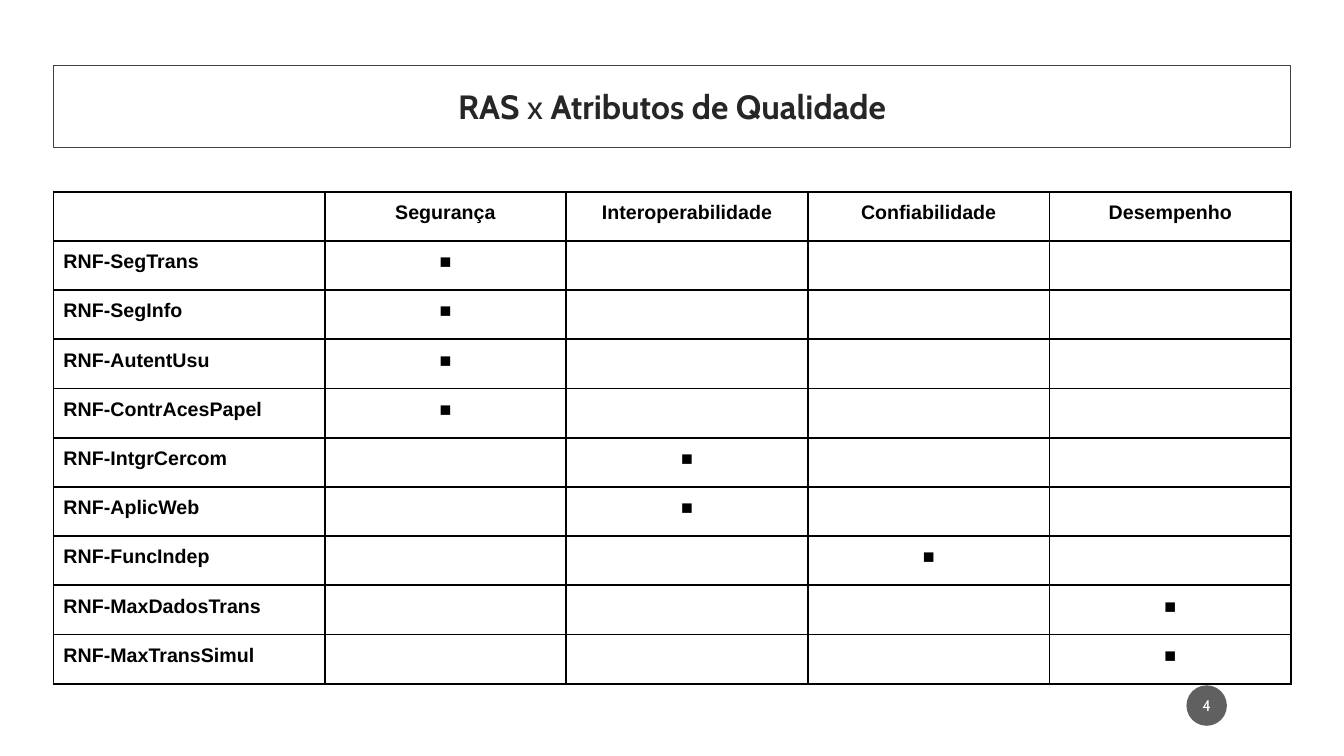
from lxml import etree
from pptx import Presentation
from pptx.dml.color import RGBColor
from pptx.enum import shapes, text
from pptx.oxml import ns
from pptx.util import Cm, Pt

ATTRIBUTES = ["Segurança", "Interoperabilidade", "Confiabilidade", "Desempenho"]
REQUIREMENTS = [
    ("RNF-SegTrans", "Segurança"),
    ("RNF-SegInfo", "Segurança"),
    ("RNF-AutentUsu", "Segurança"),
    ("RNF-ContrAcesPapel", "Segurança"),
    ("RNF-IntgrCercom", "Interoperabilidade"),
    ("RNF-AplicWeb", "Interoperabilidade"),
    ("RNF-FuncIndep", "Confiabilidade"),
    ("RNF-MaxDadosTrans", "Desempenho"),
    ("RNF-MaxTransSimul", "Desempenho"),
]
LEFT = 1.35
LABEL_WIDTH, ATTRIBUTE_WIDTH, ROW_HEIGHT = 6.83, 6.09, 1.24
CENTER = text.PP_ALIGN.CENTER


def paint(color_format, value):
    color_format.rgb = RGBColor.from_string(value)


def fill_solid(item, value):
    item.fill.solid()
    paint(item.fill.fore_color, value)


def set_margins(item, horizontal, vertical):
    item.margin_left = item.margin_right = Cm(horizontal)
    item.margin_top = item.margin_bottom = Cm(vertical)


def style_font(font, name, size, color):
    font.name = name
    font.size = Pt(size)
    paint(font.color, color)


def add_panel(slide, kind, box, fill, margins, runs, size, color):
    panel = slide.shapes.add_shape(kind, *map(Cm, box))
    panel.shadow.inherit = False
    fill_solid(panel, fill)
    panel.line.fill.background()
    frame = panel.text_frame
    frame.word_wrap = True
    frame.vertical_anchor = text.MSO_ANCHOR.MIDDLE
    set_margins(frame, *margins)
    paragraph = frame.paragraphs[0]
    paragraph.alignment = CENTER
    style_font(paragraph.font, "Cabin", size, color)
    for words, bold in runs:
        run = paragraph.add_run()
        run.text = words
        run.font.bold = bold
    return panel


def add_title(slide):
    runs = [("RAS ", True), ("x ", False), ("Atributos de Qualidade", True)]
    title = add_panel(slide, shapes.MSO_SHAPE.RECTANGLE, (LEFT, 1.65, 31.17, 2.06),
                      "FFFFFF", (0.5, 0.5), runs, 24, "262626")
    paint(title.line.color, "404040")
    title.line.width = Pt(0.75)


def add_page_number(slide):
    badge = add_panel(slide, shapes.MSO_SHAPE.OVAL, (29.9, 17.27, 1.02, 1.02),
                      "1D1D1D", (0.05, 0.13), [("4", False)], 11, "FFFFFF")
    tone = badge.fill._xPr.find(".//" + ns.qn("a:srgbClr"))
    etree.SubElement(tone, ns.qn("a:alpha"), val="70000")


def add_borders(cell):
    properties = cell._tc.get_or_add_tcPr()
    for position, side in enumerate(("lnL", "lnR", "lnT", "lnB")):
        border = etree.Element(ns.qn("a:" + side), w=str(Pt(1.5)))
        solid = etree.SubElement(border, ns.qn("a:solidFill"))
        etree.SubElement(solid, ns.qn("a:srgbClr"), val="000000")
        properties.insert(position, border)


def write_cell(cell, words, alignment):
    fill_solid(cell, "FFFFFF")
    set_margins(cell, 0.25, 0.25)
    cell.text = words
    paragraph = cell.text_frame.paragraphs[0]
    paragraph.alignment = alignment
    style_font(paragraph.font, "Arial", 14, "000000")
    paragraph.font.bold = True
    add_borders(cell)


def add_matrix(slide):
    rows = [["", *ATTRIBUTES]]
    for requirement, served in REQUIREMENTS:
        marks = ["■" if attribute == served else "" for attribute in ATTRIBUTES]
        rows.append([requirement, *marks])
    widths = [LABEL_WIDTH] + [ATTRIBUTE_WIDTH] * len(ATTRIBUTES)
    matrix = slide.shapes.add_table(
        len(rows), len(widths), Cm(LEFT), Cm(4.83),
        Cm(sum(widths)), Cm(ROW_HEIGHT * len(rows))).table
    matrix.horz_banding = False
    for column, width in zip(matrix.columns, widths):
        column.width = Cm(width)
    for r, row in enumerate(rows):
        matrix.rows[r].height = Cm(ROW_HEIGHT)
        for c, words in enumerate(row):
            write_cell(matrix.cell(r, c), words, CENTER if c else text.PP_ALIGN.LEFT)


def main():
    deck = Presentation()
    deck.slide_width, deck.slide_height = Cm(33.87), Cm(19.05)
    slide = deck.slides.add_slide(deck.slide_layouts[6])
    add_title(slide)
    add_matrix(slide)
    add_page_number(slide)
    deck.save("out.pptx")


if __name__ == "__main__":
    main()
